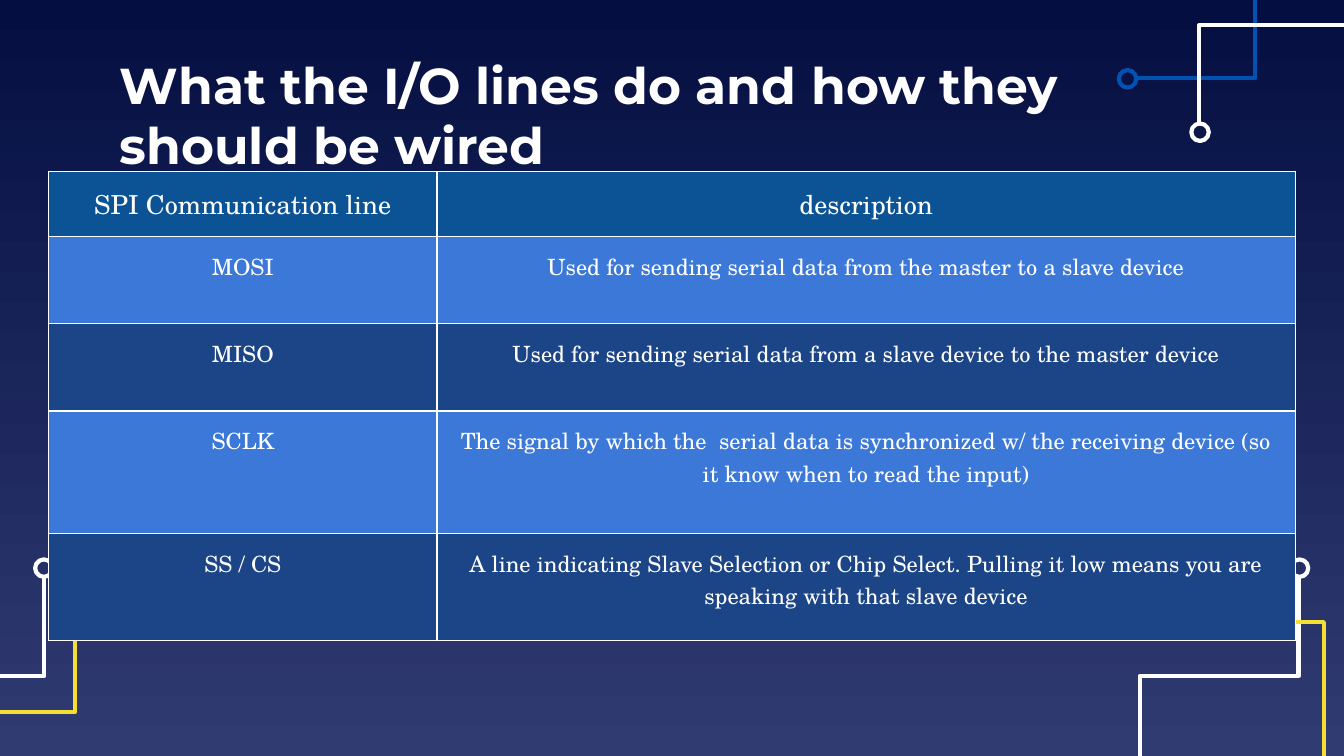
from lxml import etree
from pptx import Presentation
from pptx import util as u
from pptx.dml import color
from pptx.enum import shapes, text
from pptx.oxml import ns

WHITE, BLUE, YELLOW = "FFFFFF", "0152B1", "F5DE34"
HEADER, LIGHT_ROW, DARK_ROW = "0B5394", "3C78D8", "1C4587"
NODE_SIZE = 0.33

TRACES = [
    (WHITE, [(24.54, 10.87), (24.54, 12.78), (21.54, 12.78), (21.54, 14.29)]),
    (BLUE, [(21.46, 1.48), (23.72, 1.48), (23.72, 0)]),
    (WHITE, [(22.66, 2.36), (22.66, 0.48), (25.4, 0.48)]),
    (YELLOW, [(22.71, 11.76), (25.02, 11.76), (25.02, 14.29)]),
    (WHITE, [(0.84, 10.87), (0.84, 12.78), (0, 12.78)]),
    (YELLOW, [(1.42, 11.56), (1.42, 13.46), (0, 13.46)]),
]
NODES = [
    (WHITE, 24.56, 10.74),
    (BLUE, 21.31, 1.49),
    (WHITE, 22.68, 2.5),
    (WHITE, 0.83, 10.74),
]
LINES = [
    ("SPI Communication line", "description"),
    ("MOSI", "Used for sending serial data from the master to a slave device"),
    ("MISO", "Used for sending serial data from a slave device to the master device"),
    ("SCLK", "The signal by which the  serial data is synchronized w/ the "
             "receiving device (so it know when to read the input)"),
    ("SS / CS", "A line indicating Slave Selection or Chip Select. Pulling it low "
                "means you are speaking with that slave device"),
]
COLUMN_WIDTHS = [7.34, 16.22]
ROW_HEIGHTS = [1.09, 1.65, 1.65, 2.31, 2.03]


def rgb(value):
    """Return the colour for a hex string."""
    return color.RGBColor.from_string(value)


def write(frame, words, *, size, font, align, bold=False, ink=WHITE):
    """Put formatted words in a text frame."""
    paragraph = frame.paragraphs[0]
    paragraph.alignment = align
    run = paragraph.add_run()
    run.text = words
    run.font.size = u.Pt(size)
    run.font.name = font
    run.font.bold = bold
    run.font.color.rgb = rgb(ink)


def paint_background(slide):
    """Fill the slide with the vertical night gradient."""
    fill = slide.background.fill
    fill.gradient()
    fill.gradient_angle = 270
    for stop, position, shade in zip(fill.gradient_stops, (0, 1), ("040E41", "303B72")):
        stop.position = position
        stop.color.rgb = rgb(shade)


def outline(shape, ink):
    """Leave a shape as a plain unfilled outline."""
    shape.shadow.inherit = False
    shape.fill.background()
    shape.line.color.rgb = rgb(ink)
    shape.line.width = u.Pt(2.25)


def add_trace(slide, ink, points):
    """Draw one circuit trace through points in centimetres."""
    start, *rest = [(u.Cm(x), u.Cm(y)) for x, y in points]
    builder = slide.shapes.build_freeform(*start)
    builder.add_line_segments(rest, close=False)
    outline(builder.convert_to_shape(), ink)


def add_node(slide, ink, x, y):
    """Draw the ring that ends a trace, centred on x and y."""
    ring = slide.shapes.add_shape(
        shapes.MSO_SHAPE.OVAL, u.Cm(x - NODE_SIZE / 2), u.Cm(y - NODE_SIZE / 2),
        u.Cm(NODE_SIZE), u.Cm(NODE_SIZE))
    outline(ring, ink)


def set_title(slide, words):
    """Place and format the slide title."""
    title = slide.shapes.title
    title.left, title.top, title.width, title.height = map(u.Cm, (2.01, 1.5, 21.41, 1.32))
    frame = title.text_frame
    frame.word_wrap = True
    frame.auto_size = text.MSO_AUTO_SIZE.NONE
    frame.vertical_anchor = text.MSO_ANCHOR.MIDDLE
    frame.margin_left = frame.margin_right = u.Cm(0.25)
    frame.margin_top = frame.margin_bottom = u.Cm(0.25)
    write(frame, words, size=27, font="Montserrat", align=text.PP_ALIGN.LEFT, bold=True)


def add_borders(cell):
    """Draw thin white borders on all four sides of a cell."""
    properties = cell._tc.get_or_add_tcPr()
    for index, side in enumerate(("lnL", "lnR", "lnT", "lnB")):
        border = etree.Element(ns.qn(f"a:{side}"), w=str(u.Pt(0.75)))
        solid = etree.SubElement(border, ns.qn("a:solidFill"))
        etree.SubElement(solid, ns.qn("a:srgbClr"), val=WHITE)
        properties.insert(index, border)


def fill_cell(cell, words, row):
    """Format one cell according to its row."""
    is_header = row == 0
    cell.fill.solid()
    cell.fill.fore_color.rgb = rgb(HEADER if is_header else LIGHT_ROW if row % 2 else DARK_ROW)
    cell.margin_left = cell.margin_right = u.Cm(0.25)
    cell.margin_top = cell.margin_bottom = u.Cm(0.25)
    cell.vertical_anchor = text.MSO_ANCHOR.MIDDLE if is_header else text.MSO_ANCHOR.TOP
    write(cell.text_frame, words, size=14 if is_header else 12,
          font="TeX Gyre Schola", align=text.PP_ALIGN.CENTER)
    add_borders(cell)


def add_lines_table(slide):
    """Add the table of SPI lines and their descriptions."""
    table = slide.shapes.add_table(
        len(LINES), len(COLUMN_WIDTHS), u.Cm(0.92), u.Cm(3.24),
        u.Cm(sum(COLUMN_WIDTHS)), u.Cm(sum(ROW_HEIGHTS))).table
    for column, width in zip(table.columns, COLUMN_WIDTHS):
        column.width = u.Cm(width)
    for row, (entries, height) in enumerate(zip(LINES, ROW_HEIGHTS)):
        table.rows[row].height = u.Cm(height)
        for column, words in enumerate(entries):
            fill_cell(table.cell(row, column), words, row)


def main():
    """Build and save the slide."""
    deck = Presentation()
    deck.slide_width, deck.slide_height = u.Cm(25.4), u.Cm(14.29)
    slide = deck.slides.add_slide(deck.slide_layouts[5])
    paint_background(slide)
    for ink, points in TRACES:
        add_trace(slide, ink, points)
    for ink, x, y in NODES:
        add_node(slide, ink, x, y)
    set_title(slide, "What the I/O lines do and how they should be wired")
    add_lines_table(slide)
    deck.save("out.pptx")


if __name__ == "__main__":
    main()
